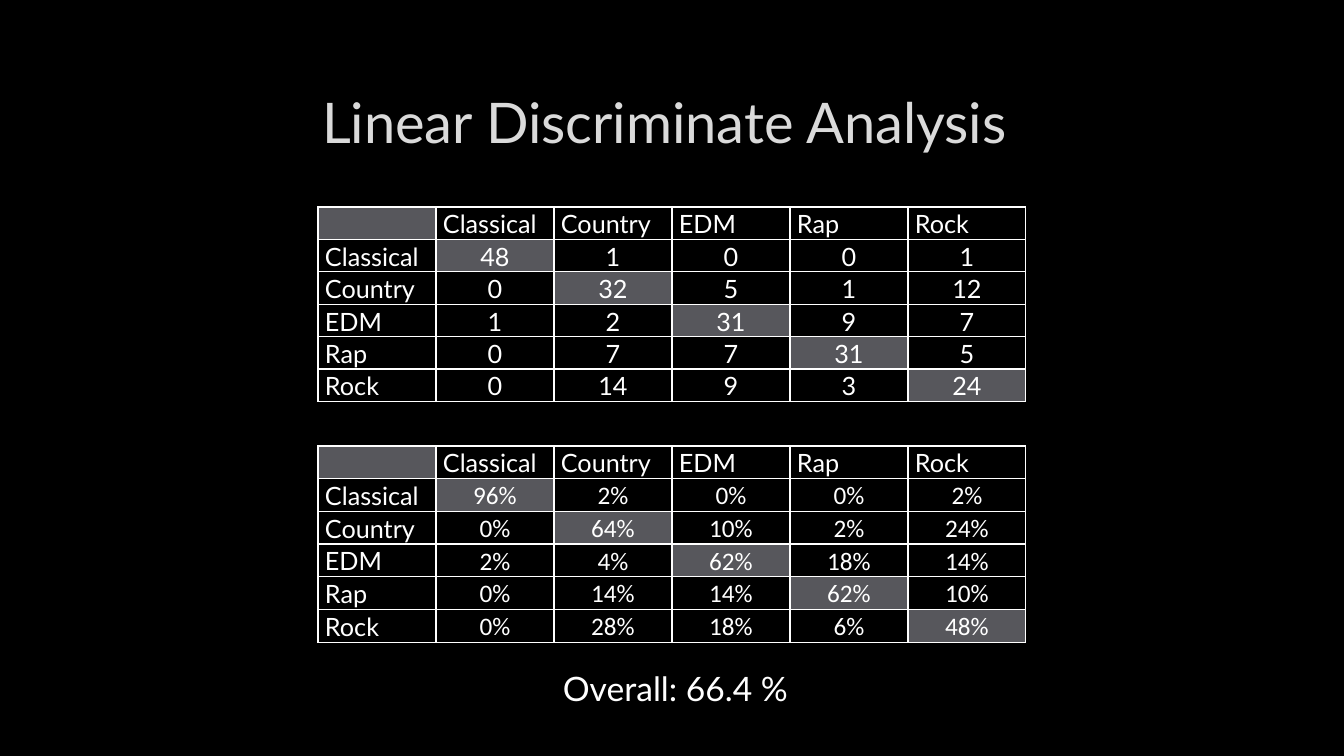
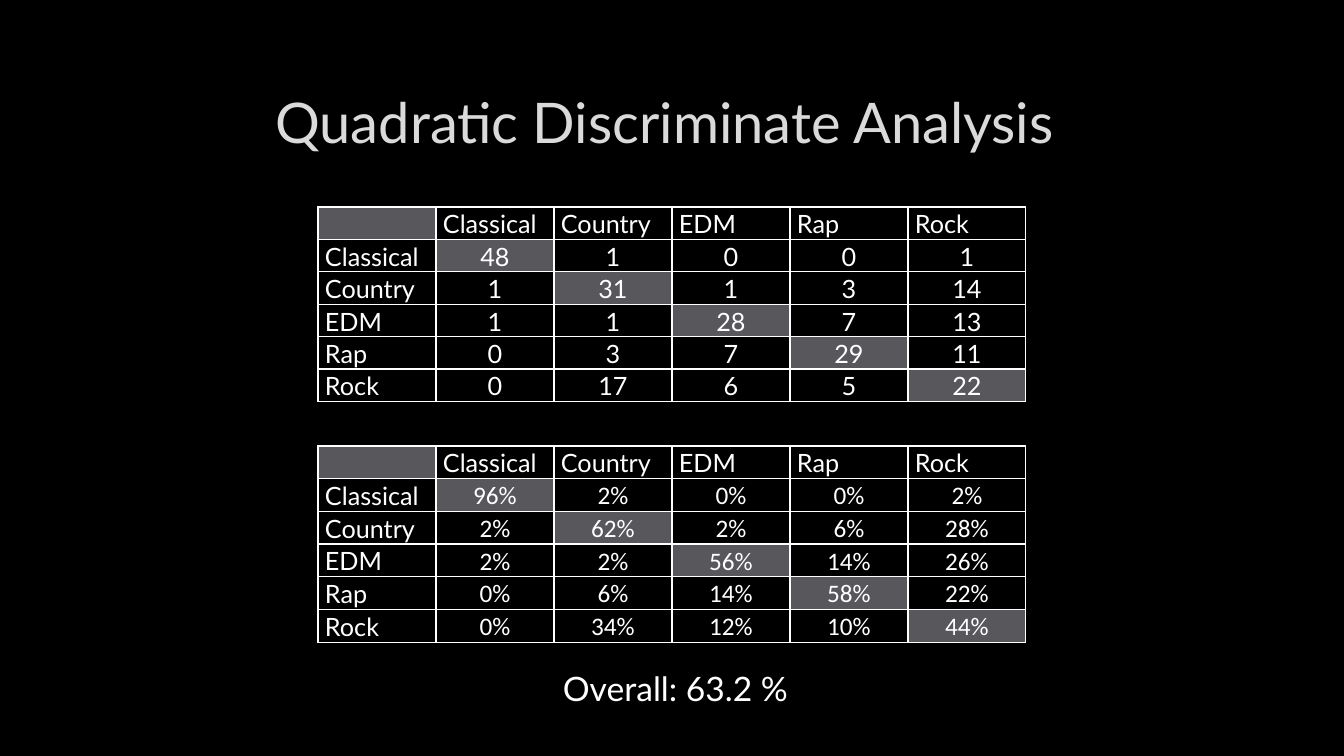
from pptx import Presentation
from pptx.dml.color import RGBColor
from pptx.enum.text import MSO_ANCHOR, PP_ALIGN
from pptx.oxml.ns import qn
from pptx.util import Emu, Pt
from lxml import etree

LEFT, MID, JUST = PP_ALIGN.LEFT, PP_ALIGN.CENTER, PP_ALIGN.JUSTIFY
TOP, HALF = MSO_ANCHOR.TOP, MSO_ANCHOR.MIDDLE

BLACK, WHITE, PALE, GREY = "000000", "FFFFFF", "DADADA", "57575C"
LATO, CALI = "Lato", "Calibri"
WIDE, TALL = 1344, 756
HEAD = (101, 68, 1141, 107)
UPPER = (318, 207, 708, 194)
LOWER = (318, 446, 708, 197)
FOOT = (553, 663, 307, 50)

KINDS = ["Classical", "Country", "EDM", "Rap", "Rock"]
TESTS = [
    ("Linear Discriminate Analysis ", [
        [48, 1, 0, 0, 1],
        [0, 32, 5, 1, 12],
        [1, 2, 31, 9, 7],
        [0, 7, 7, 31, 5],
        [0, 14, 9, 3, 24],
    ]),
    ("Quadratic Discriminate Analysis ", [
        [48, 1, 0, 0, 1],
        [1, 31, 1, 3, 14],
        [1, 1, 28, 7, 13],
        [0, 3, 7, 29, 11],
        [0, 17, 6, 5, 22],
    ]),
]


def px(n):
    return Emu(round(n * 914400 / 100.8))


def tint(code):
    return RGBColor.from_string(code)


def paint(fill, code):
    fill.solid()
    fill.fore_color.rgb = tint(code)


def write(para, text, size, font, code, align):
    para.alignment = align
    run = para.add_run()
    run.text = text
    run.font.size = Pt(size)
    run.font.name = font
    run.font.color.rgb = tint(code)


def label(slide, box, text, size, code, align, anchor):
    frame = slide.shapes.add_textbox(*map(px, box)).text_frame
    frame.word_wrap = True
    frame.vertical_anchor = anchor
    write(frame.paragraphs[0], text, size, LATO, code, align)


def edge(cell):
    props = cell._tc.get_or_add_tcPr()
    for side in ("a:lnL", "a:lnR", "a:lnT", "a:lnB"):
        line = etree.SubElement(props, qn(side), w=str(Pt(1)))
        solid = etree.SubElement(line, qn("a:solidFill"))
        etree.SubElement(solid, qn("a:srgbClr"), val=WHITE)


def grid(slide, box, rows, font):
    cells = [["", *KINDS]] + [[kind, *row] for kind, row in zip(KINDS, rows)]
    count = len(cells)
    table = slide.shapes.add_table(count, count, *map(px, box)).table
    table.first_row = table.horz_banding = False
    for col in table.columns:
        col.width = px(box[2] / count)
    for r, row in enumerate(cells):
        table.rows[r].height = px(box[3] // count if r == 0 else box[3] / count)
        for c, text in enumerate(row):
            cell = table.cell(r, c)
            cell.margin_left = cell.margin_right = px(7)
            cell.margin_top = cell.margin_bottom = 0
            edge(cell)
            paint(cell.fill, GREY if r == c else BLACK)
            if text == "":
                continue
            para = cell.text_frame.paragraphs[0]
            para.line_spacing = 1.07
            name = r == 0 or c == 0
            write(para, str(text), 18, LATO if name else font, WHITE,
                  JUST if name else MID)


def report(deck, title, counts):
    slide = deck.slides.add_slide(deck.slide_layouts[6])
    shares = [[f"{n / sum(row):.0%}" for n in row] for row in counts]
    hits = sum(row[i] for i, row in enumerate(counts))
    rate = 100 * hits / sum(map(sum, counts))
    label(slide, HEAD, title, 40, PALE, MID, HALF)
    grid(slide, UPPER, counts, LATO)
    grid(slide, LOWER, shares, CALI)
    label(slide, FOOT, f"Overall: {rate:.1f} %", 24, WHITE, LEFT, TOP)


def main():
    deck = Presentation()
    deck.slide_width, deck.slide_height = px(WIDE), px(TALL)
    paint(deck.slide_master.background.fill, BLACK)
    for title, counts in TESTS:
        report(deck, title, counts)
    deck.save("out.pptx")


if __name__ == "__main__":
    main()
